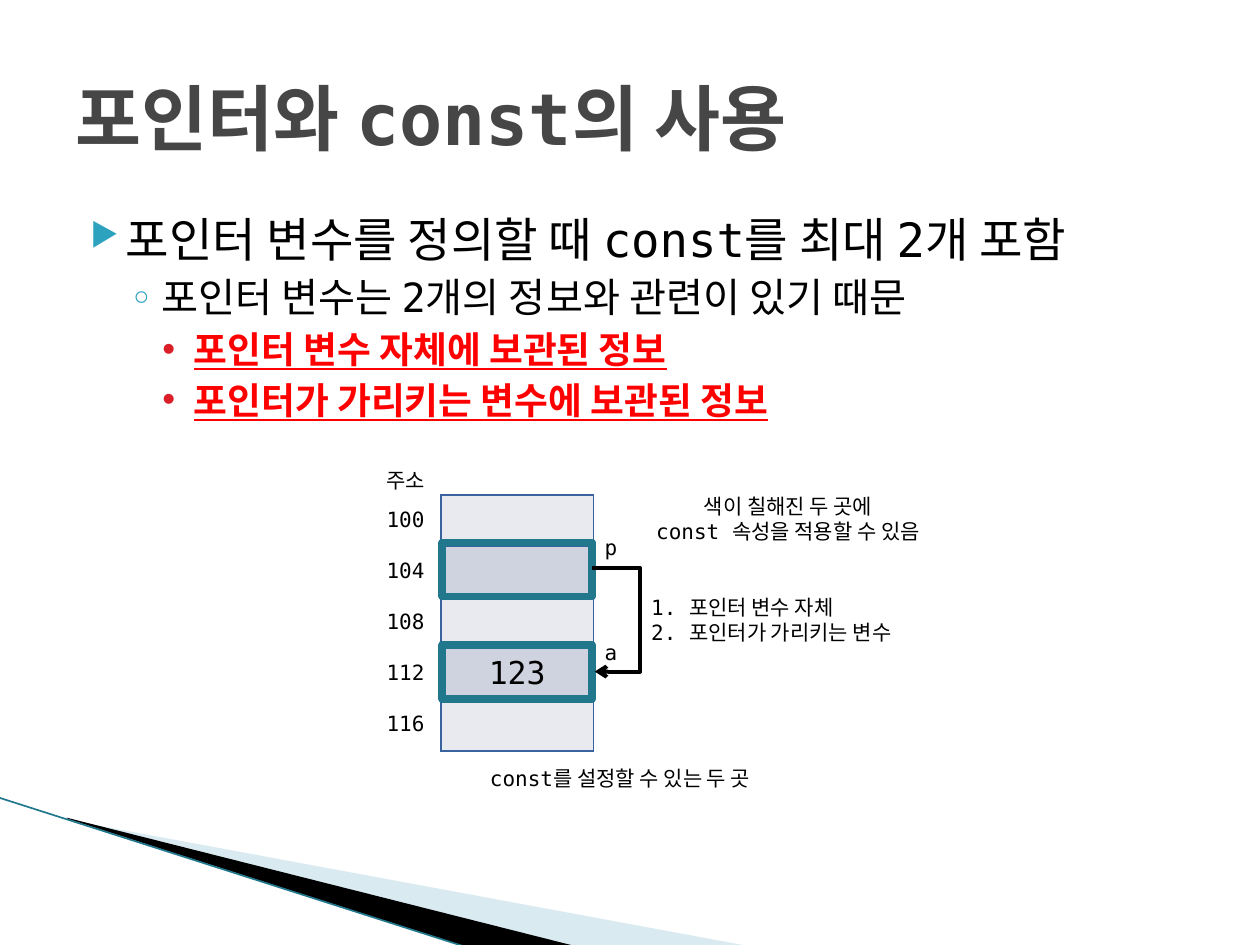
from dataclasses import dataclass
from typing import Optional

from lxml.etree import SubElement as Sub
from pptx import Presentation
from pptx.dml.color import RGBColor as RGB
from pptx.enum.shapes import MSO_CONNECTOR as Conn, MSO_SHAPE as Shape
from pptx.enum.text import MSO_ANCHOR as Anchor, MSO_AUTO_SIZE as Auto, PP_ALIGN as Align
from pptx.oxml.ns import qn
from pptx.util import Inches, Pt

FONT = "DejaVu Sans Mono"
BLACK = RGB(0, 0, 0)
GRAY = RGB(0x46, 0x46, 0x46)
RED = RGB(0xFF, 0, 0)
TEAL = RGB(0x21, 0x78, 0x8D)
SKY = RGB(0xA0, 0xCB, 0xDC)
AQUA = RGB(0x2D, 0xA2, 0xBF)
CRIM = RGB(0xDA, 0x1F, 0x28)
EDGE = RGB(0x39, 0x63, 0x9D)
PALE = RGB(0xE8, 0xEA, 0xEF)
DEEP = RGB(0xCE, 0xD3, 0xDF)

# Memory grid: one column of five equal rows
CELLS = ["", "", "", "123", ""]
MARKED = (1, 3)
LEFT, TOP, COL = 3.5, 3.93, 1.21
ROW = 2.03 / len(CELLS)
RIGHT = LEFT + COL


@dataclass
class Point:
    text: str
    level: int
    size: float
    indent: float
    hang: float
    before: float
    mark: str
    face: str
    tint: RGB
    scale: int = 100
    strong: bool = False


@dataclass
class Label:
    lines: list[str]
    x: float
    y: float
    w: float
    h: float = 0.3
    align: Optional[Align] = None


POINTS = [
    Point("포인터 변수를 정의할 때 const를 최대 2개 포함",
          0, 27, 0.4, 0.28, 4, "▶", "OpenSymbol", AQUA, 68),
    Point("포인터 변수는 2개의 정보와 관련이 있기 때문",
          1, 23, 0.68, 0.25, 3.2, "◦", "Verdana", AQUA),
] + [
    Point(text, 2, 21, 0.94, 0.25, 3.5, "•", "Arial", CRIM, strong=True)
    for text in ("포인터 변수 자체에 보관된 정보", "포인터가 가리키는 변수에 보관된 정보")
]

LABELS = [
    Label([str(100 + 4 * i)], 2.97, TOP + 0.04 + i * ROW, 0.52) for i in range(len(CELLS))
] + [
    Label(["p"], 4.7, 4.19, 0.31),
    Label(["a"], 4.7, 5.03, 0.29),
    Label(["주소"], 2.97, 3.66, 0.54),
    Label(["const를 설정할 수 있는 두 곳"], 3.79, 6.03, 2.42),
    Label(["색이 칠해진 두 곳에", "const 속성을 적용할 수 있음"], 5.07, 3.87, 2.37, 0.5, Align.CENTER),
    Label(["1. 포인터 변수 자체", "2. 포인터가 가리키는 변수"], 5.07, 4.67, 2.2, 0.5),
]


def box(x: float, y: float, w: float, h: float) -> list:
    return [Inches(v) for v in (x, y, w, h)]


def write(para, text: str, size: float, color: RGB = BLACK, bold: bool = False):
    run = para.add_run()
    run.text = text
    font = run.font
    font.name, font.size, font.bold = FONT, Pt(size), bold
    font.color.rgb = color
    return run


def next_para(frame, i: int):
    return frame.add_paragraph() if i else frame.paragraphs[0]


def paint(parent, color: RGB) -> None:
    Sub(Sub(parent, qn("a:solidFill")), qn("a:srgbClr"), val=str(color))


def wedge(slide, pts: list, color: RGB, alpha: int = 100) -> None:
    (x, y), *rest = pts
    form = slide.shapes.build_freeform(Inches(x), Inches(y))
    form.add_line_segments([(Inches(a), Inches(b)) for a, b in rest], close=True)
    shape = form.convert_to_shape()
    shape.shadow.inherit = False
    shape.fill.solid()
    shape.fill.fore_color.rgb = color
    shape.line.fill.background()
    if alpha < 100:
        tone = shape._element.spPr.find(qn("a:solidFill"))[0]
        Sub(tone, qn("a:alpha"), val=str(alpha * 1000))


def link(slide, kind, x1: float, y1: float, x2: float, y2: float, color: RGB, width: float):
    line = slide.shapes.add_connector(kind, *box(x1, y1, x2, y2))
    line.line.color.rgb = color
    line.line.width = Pt(width)
    Sub(line._element.spPr, qn("a:effectLst"))
    return line


def bullet(para, point: Point) -> None:
    para.level = point.level
    para.space_before = Pt(point.before)
    props = para._p.get_or_add_pPr()
    props.set("marL", str(Inches(point.indent)))
    props.set("indent", str(-Inches(point.hang)))
    Sub(Sub(props, qn("a:buClr")), qn("a:srgbClr"), val=str(point.tint))
    Sub(props, qn("a:buSzPct"), val=str(point.scale * 1000))
    Sub(props, qn("a:buFont"), typeface=point.face)
    Sub(props, qn("a:buChar"), char=point.mark)


def body(slide) -> None:
    frame = slide.shapes.add_textbox(*box(0.5, 1.62, 9, 4.95)).text_frame
    frame.word_wrap = True
    for i, point in enumerate(POINTS):
        para = next_para(frame, i)
        bullet(para, point)
        run = write(para, point.text, point.size, RED if point.strong else BLACK, point.strong)
        run.font.underline = point.strong


def memory(slide) -> None:
    grid = slide.shapes.add_table(
        len(CELLS), 1, *box(LEFT, TOP, COL, ROW * len(CELLS))).table
    for i, text in enumerate(CELLS):
        cell = grid.cell(i, 0)
        cell.fill.solid()
        cell.fill.fore_color.rgb = DEEP if i in MARKED else PALE
        if text:
            para = cell.text_frame.paragraphs[0]
            para.alignment = Align.CENTER
            write(para, text, 18)
        props = cell._tc.get_or_add_tcPr()
        for n, side in enumerate("LRTB"):
            edge = Sub(props, qn(f"a:ln{side}"), w=str(Pt(1)))
            paint(edge, EDGE)
            props.insert(n, edge)


def frames(slide) -> None:
    for i in MARKED:
        rect = slide.shapes.add_shape(
            Shape.RECTANGLE, *box(LEFT + 0.01, TOP + i * ROW - 0.03, COL - 0.02, 0.43))
        rect.shadow.inherit = False
        rect.fill.background()
        rect.line.color.rgb = TEAL
        rect.line.width = Pt(4.33)


def note(slide, label: Label) -> None:
    frame = slide.shapes.add_textbox(*box(label.x, label.y, label.w, label.h)).text_frame
    frame.word_wrap = False
    frame.auto_size = Auto.SHAPE_TO_FIT_TEXT
    for i, text in enumerate(label.lines):
        para = next_para(frame, i)
        para.alignment = label.align
        write(para, text, 12)


def pointer(slide) -> None:
    start, reach = RIGHT - 0.01, 0.02
    arrow = link(slide, Conn.ELBOW, start, 4.51, start + reach, 5.33, BLACK, 2.25)
    guides = arrow._element.spPr.find(qn("a:prstGeom")).get_or_add_avLst()
    bend = round(0.38 / reach * 100000)
    Sub(guides, qn("a:gd"), name="adj1", fmla=f"val {bend}")
    Sub(arrow.line._get_or_add_ln(), qn("a:tailEnd"), type="arrow")


def main() -> None:
    deck = Presentation()
    deck.slide_width, deck.slide_height = Inches(10), Inches(7.5)
    slide = deck.slides.add_slide(deck.slide_layouts[5])

    # Corner decoration
    wedge(slide, [(0.55, 6.51), (5.95, 7.51), (4.56, 7.51), (0.55, 6.5)], SKY, 40)
    wedge(slide, [(0.53, 6.49), (4.57, 7.51), (3.72, 7.52), (0.54, 6.5)], BLACK)
    link(slide, Conn.STRAIGHT, -0.01, 6.33, 3.71, 7.52, TEAL, 0.95)

    # Title and points
    title = slide.shapes.title
    title.left, title.top, title.width, title.height = box(0.5, 0.3, 9, 1.25)
    title.text_frame.vertical_anchor = Anchor.MIDDLE
    para = title.text_frame.paragraphs[0]
    para.alignment = Align.LEFT
    write(para, "포인터와 const의 사용", 41, GRAY, True)
    body(slide)

    # Memory diagram
    memory(slide)
    frames(slide)
    pointer(slide)
    for label in LABELS:
        note(slide, label)

    deck.save("out.pptx")


if __name__ == "__main__":
    main()
